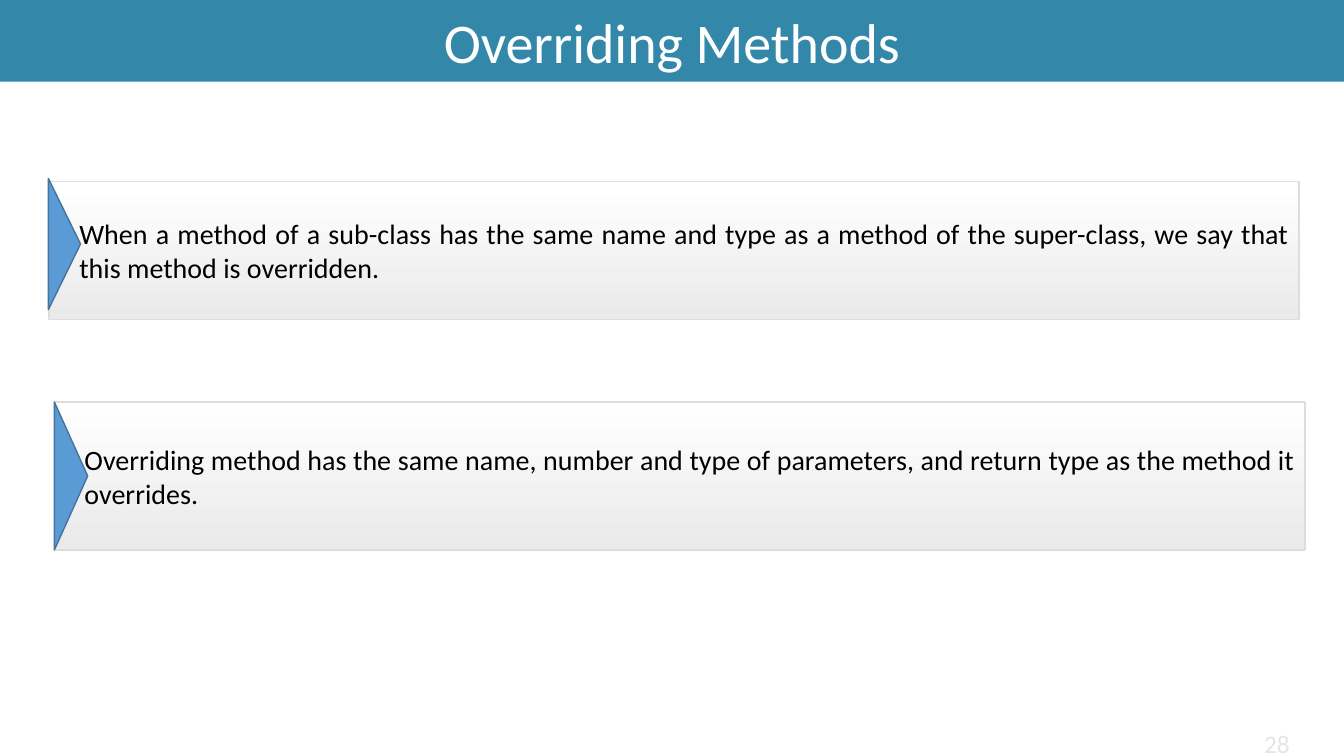
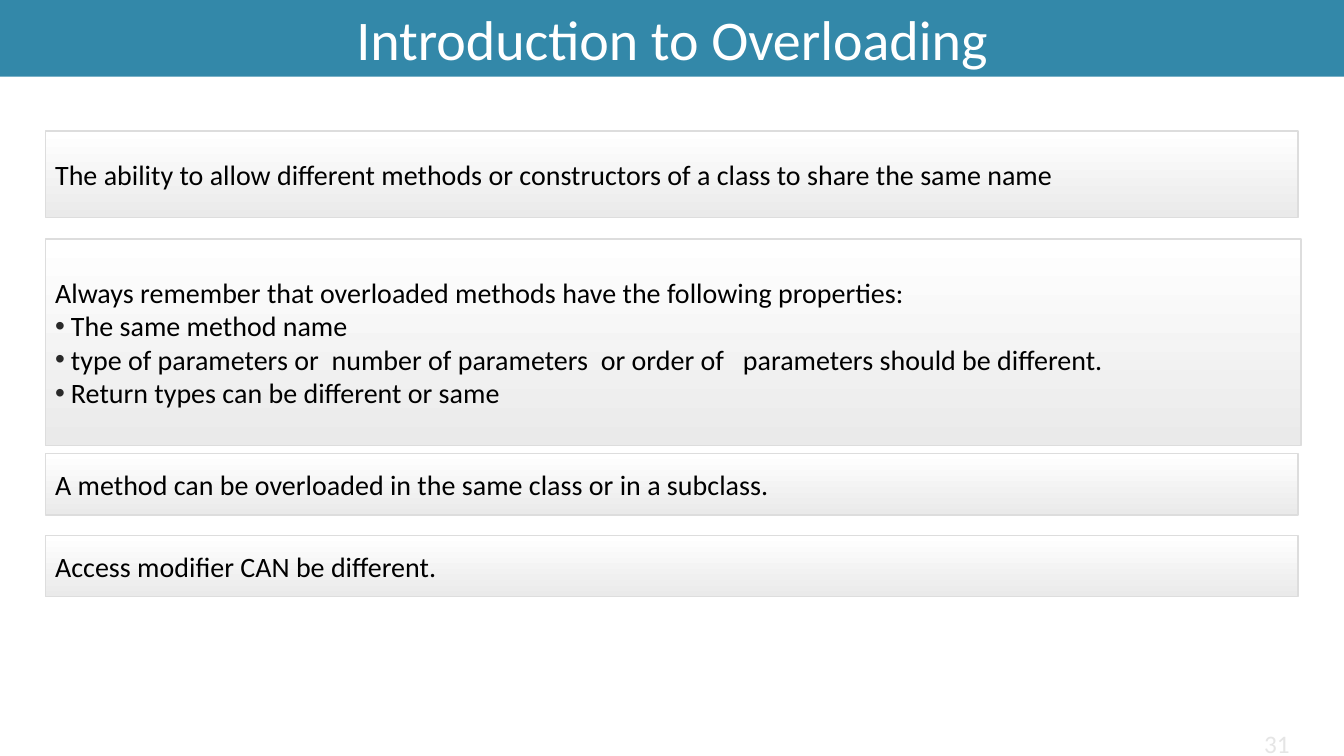
from lxml import etree
from pptx import Presentation
from pptx.dml.color import RGBColor
from pptx.enum.shapes import MSO_SHAPE
from pptx.enum.text import MSO_ANCHOR, MSO_AUTO_SIZE, PP_ALIGN
from pptx.oxml.ns import qn
from pptx.util import Cm, Pt

RECTANGLE = MSO_SHAPE.RECTANGLE
TRIANGLE = MSO_SHAPE.ISOSCELES_TRIANGLE
MIDDLE = MSO_ANCHOR.MIDDLE
NO_FIT = MSO_AUTO_SIZE.NONE
LEFT, CENTER, RIGHT, JUSTIFY = PP_ALIGN.LEFT, PP_ALIGN.CENTER, PP_ALIGN.RIGHT, PP_ALIGN.JUSTIFY

BAND = RGBColor(0x33, 0x88, 0xA9)
WHITE = RGBColor(0xFF, 0xFF, 0xFF)
BLACK = RGBColor(0, 0, 0)
BULLET = RGBColor(0x29, 0x29, 0x29)
PANEL_END = RGBColor(0xEA, 0xEA, 0xEA)
PANEL_LINE = RGBColor(0xDD, 0xDD, 0xDD)
POINTER = RGBColor(0x5B, 0x9B, 0xD5)
POINTER_LINE = RGBColor(0x43, 0x73, 0x9E)
NUMBER = RGBColor(0xE5, 0xE5, 0xE5)

FONT = "Calibri"
SLIDE_WIDTH, SLIDE_HEIGHT = 33.87, 19.05
INSET = 0.25
BULLET_INDENT = 0.4
TITLE_ONLY = 5


class Deck:
    def __init__(self):
        self.presentation = Presentation()
        self.presentation.slide_width = Cm(SLIDE_WIDTH)
        self.presentation.slide_height = Cm(SLIDE_HEIGHT)
        self.slide = None

    def new_slide(self, title, band_height, number):
        layout = self.presentation.slide_layouts[TITLE_ONLY]
        self.slide = self.presentation.slides.add_slide(layout)
        band = self.slide.shapes.title
        band.left, band.top = Cm(0), Cm(0)
        band.width, band.height = Cm(SLIDE_WIDTH), Cm(band_height)
        band.fill.solid()
        band.fill.fore_color.rgb = BAND
        self.frame(band, INSET, 0.13)
        self.add_text(band.text_frame.paragraphs[0], title, 40, WHITE, CENTER)

        page = self.slide.shapes.add_textbox(Cm(30.5), Cm(18.4), Cm(2), Cm(0.65))
        self.frame(page, 0, 0)
        self.add_text(page.text_frame.paragraphs[0], number, 18, NUMBER, RIGHT)

    def frame(self, shape, side, vertical, left=None):
        text = shape.text_frame
        text.auto_size = NO_FIT
        text.word_wrap = True
        text.vertical_anchor = MIDDLE
        text.margin_left = Cm(side if left is None else left)
        text.margin_right = Cm(side)
        text.margin_top = text.margin_bottom = Cm(vertical)

    def add_text(self, paragraph, words, size, color, align):
        paragraph.alignment = align
        run = paragraph.add_run()
        run.text = words
        run.font.name = FONT
        run.font.size = Pt(size)
        run.font.color.rgb = color

    def add_bullet(self, paragraph):
        properties = paragraph._p.get_or_add_pPr()
        properties.set("marL", str(Cm(BULLET_INDENT)))
        properties.set("indent", str(-Cm(BULLET_INDENT)))
        color = etree.SubElement(properties, qn("a:buClr"))
        etree.SubElement(color, qn("a:srgbClr"), val=str(BULLET))
        etree.SubElement(properties, qn("a:buFont"), typeface="Arial")
        etree.SubElement(properties, qn("a:buChar"), char="•")

    def panel(self, box, heading, points=(), align=LEFT, left_inset=INSET, shapes=None):
        if shapes is None:
            shapes = self.slide.shapes
        panel = shapes.add_shape(RECTANGLE, *map(Cm, box))
        panel.shadow.inherit = False
        panel.fill.gradient()
        panel.fill.gradient_angle = 270
        for stop, color in zip(panel.fill.gradient_stops, (WHITE, PANEL_END)):
            stop.color.rgb = color
        panel.line.color.rgb = PANEL_LINE
        panel.line.width = Pt(1)
        self.frame(panel, INSET, INSET, left_inset)
        text = panel.text_frame
        self.add_text(text.paragraphs[0], heading, 20, BLACK, align)
        for point in points:
            paragraph = text.add_paragraph()
            self.add_text(paragraph, point, 20, BLACK, align)
            self.add_bullet(paragraph)

    def pointed_panel(self, box, pointer_box, words):
        shapes = self.slide.shapes.add_group_shape().shapes
        self.panel(box, words, align=JUSTIFY, left_inset=0.76, shapes=shapes)
        left, top, depth, height = pointer_box
        shift = (height - depth) / 2
        pointer = shapes.add_shape(
            TRIANGLE, Cm(left - shift), Cm(top + shift), Cm(height), Cm(depth))
        pointer.rotation = 90
        pointer.shadow.inherit = False
        pointer.fill.solid()
        pointer.fill.fore_color.rgb = POINTER
        pointer.line.color.rgb = POINTER_LINE
        pointer.line.width = Pt(1)


deck = Deck()

deck.new_slide("Overriding Methods", 2.06, "28")
deck.pointed_panel(
    (1.24, 4.57, 31.5, 3.48), (1.22, 4.5, 0.81, 3.3),
    "When a method of a sub-class has the same name and type as a method of the "
    "super-class, we say that this method is overridden.")
deck.pointed_panel(
    (1.37, 10.13, 31.52, 3.73), (1.37, 10.13, 0.84, 3.73),
    "Overriding method has the same name, number and type of parameters, and return "
    "type as the method it overrides.")

deck.new_slide("Introduction to Overloading", 1.93, "31")
overloading = [
    (3.3, 31.57, 2.18,
     "The ability to allow different methods or constructors of a class to share the same name", ()),
    (6.02, 31.65, 5.21,
     "Always remember that overloaded methods have the following properties:",
     ("The same method name",
      "type of parameters or  number of parameters  or order of   parameters should be different.",
      "Return types can be different or same")),
    (11.43, 31.57, 1.55, "A method can be overloaded in the same class or in a subclass.", ()),
    (13.49, 31.57, 1.55, "Access modifier CAN be different.", ()),
]
for top, width, height, heading, points in overloading:
    deck.panel((1.14, top, width, height), heading, points)

deck.presentation.save("out.pptx")
